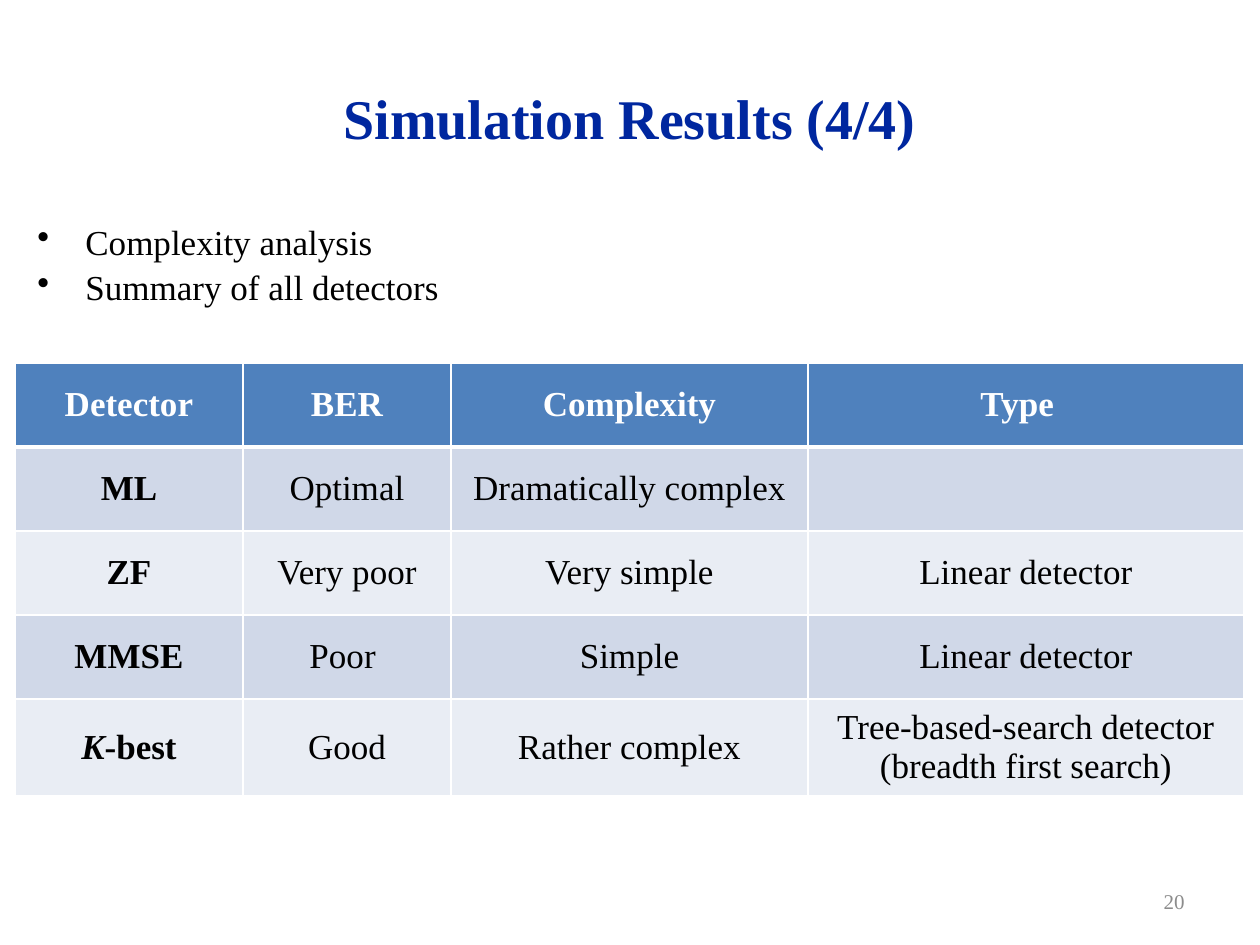
"""Build a slide that sums up detectors in a bulleted list and a table."""
from dataclasses import dataclass

from lxml import etree
from pptx import Presentation
from pptx import util as u
from pptx.dml.color import RGBColor
from pptx.enum import text
from pptx.oxml.ns import qn

FONT = "Times New Roman"
WHITE, BLACK, NAVY, GREY = "FFFFFF", "000000", "00279F", "8C8C8C"
HEADER_FILL, BAND_FILLS = "4F81BD", ("D0D8E8", "E9EDF4")
COLUMN_WIDTHS = (228, 208, 357, 436)
ROW_HEIGHT = 84
ROWS = (
    ("Detector", "BER", "Complexity", "Type  "),
    ("ML", "Optimal", "Dramatically complex", ""),
    ("ZF", "Very poor", "Very simple", "Linear detector"),
    ("MMSE", "Poor ", "Simple", "Linear detector"),
    ("K-best", "Good", "Rather complex", "Tree-based-search detector\n(breadth first search)"),
)


@dataclass
class Label:
    lines: tuple[str, ...]
    left: int
    top: int
    width: int
    height: int
    size: int
    color: str
    align: text.PP_ALIGN = text.PP_ALIGN.LEFT
    anchor: text.MSO_ANCHOR = text.MSO_ANCHOR.MIDDLE
    bold: bool = False
    indent: int = 0


LABELS = (
    Label(("Simulation Results (4/4)",), 63, 38, 1134, 158, 32, NAVY,
          align=text.PP_ALIGN.CENTER, bold=True),
    Label(("20",), 903, 876, 294, 50, 12, GREY, align=text.PP_ALIGN.RIGHT),
    Label(("Complexity analysis", "Summary of all detectors"), 25, 214, 566, 97, 20, BLACK,
          anchor=text.MSO_ANCHOR.TOP, indent=48),
)


def px(length: int) -> int:
    """Turn pixels at 126 to the inch into EMU."""
    return u.Inches(length / 126)


def rgb(color: str) -> RGBColor:
    """Turn a hex string into a colour."""
    return RGBColor.from_string(color)


def style(para, size: int, color: str, bold: bool, align: text.PP_ALIGN) -> None:
    """Set the font and alignment of a paragraph."""
    para.alignment = align
    para.font.name, para.font.size, para.font.bold = FONT, u.Pt(size), bold
    para.font.color.rgb = rgb(color)


def add_bullet(para, indent: int) -> None:
    """Give a paragraph a round bullet with a hanging indent."""
    para.space_before = u.Pt(2)
    properties = para._p.get_or_add_pPr()
    properties.set("marL", str(px(indent)))
    properties.set("indent", str(-px(indent)))
    bullet = etree.Element(qn("a:buChar"), char="•")
    properties.find(qn("a:defRPr")).addprevious(bullet)


def add_label(page, label: Label) -> None:
    """Draw a text box with one paragraph for each line."""
    box = page.shapes.add_textbox(*map(px, (label.left, label.top, label.width, label.height)))
    frame = box.text_frame
    frame.word_wrap = True
    frame.vertical_anchor = label.anchor
    frame.text = "\n".join(label.lines)
    for para in frame.paragraphs:
        style(para, label.size, label.color, label.bold, label.align)
        if label.indent:
            add_bullet(para, label.indent)


def add_borders(cell, top: int, bottom: int) -> None:
    """Draw white cell borders with the given top and bottom widths in points."""
    properties = cell._tc.get_or_add_tcPr()
    widths = {"lnL": 1, "lnR": 1, "lnT": top, "lnB": bottom}
    for place, (tag, width) in enumerate(widths.items()):
        line = etree.Element(qn(f"a:{tag}"), w=str(u.Pt(width)))
        fill = etree.SubElement(line, qn("a:solidFill"))
        etree.SubElement(fill, qn("a:srgbClr"), val=WHITE)
        properties.insert(place, line)


def fill_cell(cell, words: str, row: int, column: int) -> None:
    """Write and colour one table cell."""
    header = row == 0
    cell.text = words
    cell.vertical_anchor = text.MSO_ANCHOR.MIDDLE
    cell.fill.solid()
    cell.fill.fore_color.rgb = rgb(HEADER_FILL if header else BAND_FILLS[(row - 1) % 2])
    add_borders(cell, top=3 if row == 1 else 1, bottom=3 if header else 1)
    for para in cell.text_frame.paragraphs:
        style(para, 20, WHITE if header else BLACK, header or column == 0, text.PP_ALIGN.CENTER)


def add_detector_table(page) -> None:
    """Draw the table that compares the detectors."""
    frame = page.shapes.add_table(len(ROWS), len(COLUMN_WIDTHS), px(15), px(363),
                                  px(sum(COLUMN_WIDTHS)), px(ROW_HEIGHT * len(ROWS)))
    table = frame.table
    for column, width in zip(table.columns, COLUMN_WIDTHS):
        column.width = px(width)
    for row, entries in enumerate(ROWS):
        table.rows[row].height = px(ROW_HEIGHT)
        for column, words in enumerate(entries):
            fill_cell(table.cell(row, column), words, row, column)
    para = table.cell(len(ROWS) - 1, 0).text_frame.paragraphs[0]
    para.runs[0].text = "K"
    para.runs[0].font.italic = True
    span = para.add_run()
    span.text = "-best"


def main() -> None:
    """Build and save the deck."""
    deck = Presentation()
    deck.slide_width, deck.slide_height = px(1260), px(945)
    page = deck.slides.add_slide(deck.slide_layouts[6])
    for label in LABELS:
        add_label(page, label)
    add_detector_table(page)
    deck.save("out.pptx")


if __name__ == "__main__":
    main()
